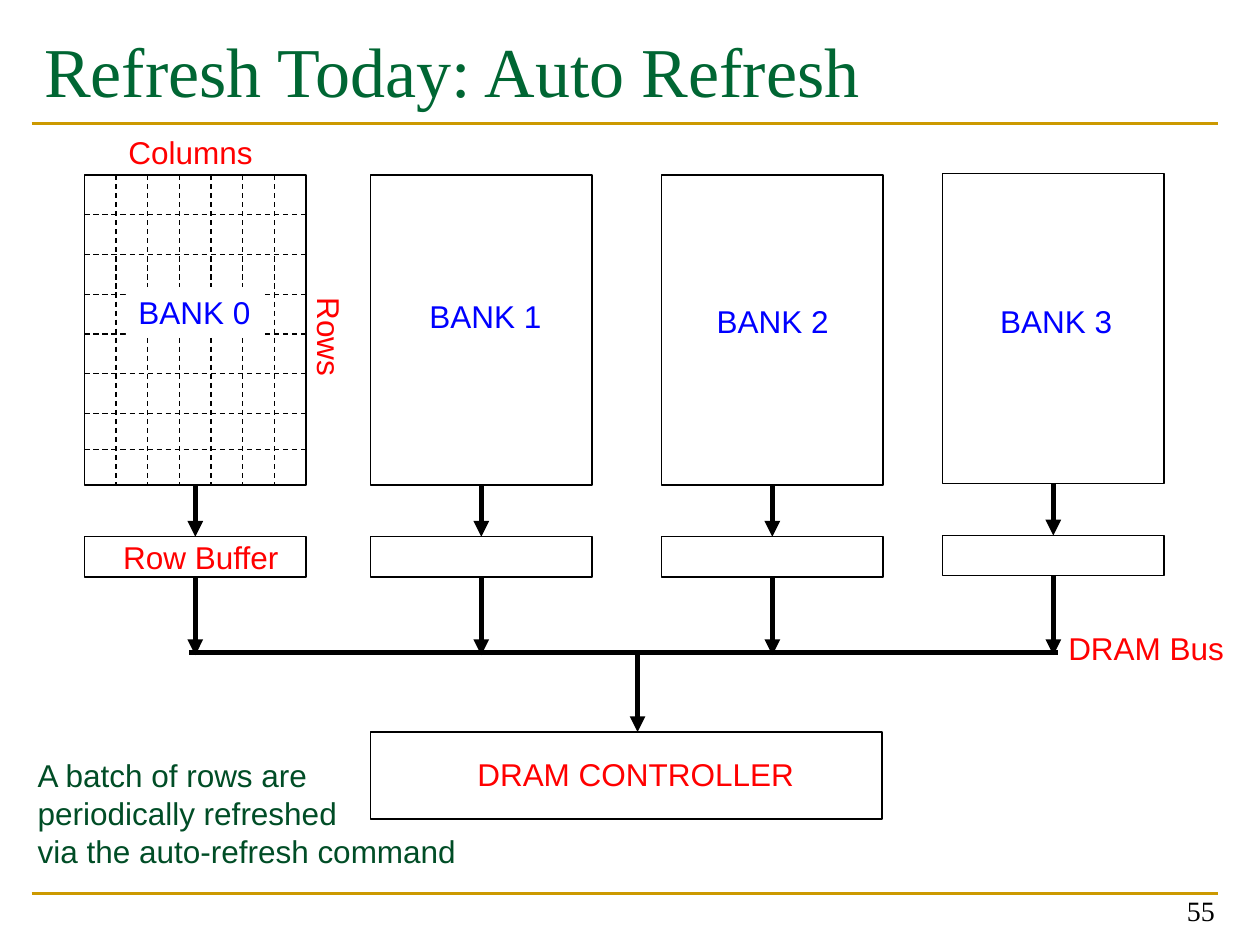
import pptx
import pptx.dml.color
import pptx.enum.dml
import pptx.enum.shapes
import pptx.enum.text
import pptx.oxml.ns
import pptx.util
from lxml import etree

Inches = pptx.util.Inches
ALIGN = pptx.enum.text.PP_ALIGN
ANCHOR = pptx.enum.text.MSO_ANCHOR

# Content
TITLE = "Refresh Today: Auto Refresh"
PAGE_NUMBER = "55"
NOTE = ["A batch of rows are", "periodically refreshed", "via the auto-refresh command"]
BLACK, WHITE, RED, BLUE = "000000", "FFFFFF", "FF0000", "0000FF"
GREEN, DARK_GREEN, GOLD = "006633", "004D26", "CC9900"

# Bank name, left and top of the bank, left and top of its name
BANKS = [
    ("BANK 0", 0.67, 1.39, 1.0, 2.28),
    ("BANK 1", 2.94, 1.39, 3.31, 2.31),
    ("BANK 2", 5.25, 1.39, 5.59, 2.35),
    ("BANK 3", 7.48, 1.38, 7.84, 2.35),
]
# Text, left, top, width, rotation
RED_LABELS = [
    ("Columns", 0.92, 1.01, 1.19, 0),
    ("Rows", 2.2, 2.48, 0.83, 90),
    ("Row Buffer", 0.88, 4.22, 1.44, 0),
    ("DRAM CONTROLLER", 3.69, 5.94, 2.74, 0),
    ("DRAM Bus", 8.38, 4.94, 1.45, 0),
]
BANK_WIDTH, BANK_HEIGHT = 1.76, 2.46
BUFFER_DROP, BUFFER_HEIGHT = 2.87, 0.32
GRID_COLUMNS, ROW_STEP = 7, 0.315
LABEL_HEIGHT = 0.4
BUS_Y, BUS_LEFT, BUS_RIGHT = 5.18, 1.5, 8.4
CONTROLLER = (2.94, 5.81, 4.06, 0.69)
CONTROLLER_ARROW_X = 5.06

presentation = pptx.Presentation()
presentation.slide_width, presentation.slide_height = Inches(10), Inches(7.5)
slide = presentation.slides.add_slide(presentation.slide_layouts[5])


def color(hex_text):
    return pptx.dml.color.RGBColor.from_string(hex_text)


def write(shape, text, size=18, font="Arial", fill=BLACK, align=ALIGN.LEFT,
          anchor=ANCHOR.TOP, wrap=False):
    """Put one string, or one paragraph per list item, into a shape."""
    frame = shape.text_frame
    frame.word_wrap = wrap
    frame.auto_size = pptx.enum.text.MSO_AUTO_SIZE.NONE
    frame.vertical_anchor = anchor
    lines = [text] if isinstance(text, str) else text
    for index, line in enumerate(lines):
        paragraph = frame.paragraphs[0] if index == 0 else frame.add_paragraph()
        paragraph.alignment = align
        run = paragraph.add_run()
        run.text = line
        run.font.size = pptx.util.Pt(size)
        run.font.name = font
        run.font.color.rgb = color(fill)


def add_label(text, left, top, width, height=LABEL_HEIGHT, rotation=0, **text_format):
    box = slide.shapes.add_textbox(*map(Inches, (left, top, width, height)))
    box.rotation = rotation
    write(box, text, **text_format)
    return box


def add_box(left, top, width, height):
    box = slide.shapes.add_shape(pptx.enum.shapes.MSO_SHAPE.RECTANGLE,
                                 *map(Inches, (left, top, width, height)))
    box.shadow.inherit = False
    box.fill.background()
    box.line.color.rgb = color(BLACK)
    box.line.width = pptx.util.Pt(0.75)
    return box


def add_line(x1, y1, x2, y2, stroke=BLACK, width=3, dashed=False, arrow=False):
    line = slide.shapes.add_connector(pptx.enum.shapes.MSO_CONNECTOR.STRAIGHT,
                                      *map(Inches, (x1, y1, x2, y2)))
    line.line.color.rgb = color(stroke)
    line.line.width = pptx.util.Pt(width)
    if dashed:
        line.line.dash_style = pptx.enum.dml.MSO_LINE.DASH
    if arrow:
        tail = etree.SubElement(line.line._get_or_add_ln(), pptx.oxml.ns.qn("a:tailEnd"))
        tail.set("type", "triangle")
    etree.SubElement(line._element.spPr, pptx.oxml.ns.qn("a:effectLst"))
    return line


# Title, rules and page number
for rule_y in (7.09, 0.98):
    add_line(0.25, rule_y, 9.67, rule_y, stroke=GOLD, width=1.5)
title = slide.shapes.title
title.left, title.top, title.width, title.height = map(Inches, (0.25, 0.17, 9.42, 1.17))
write(title, TITLE, size=40, font="Times New Roman", fill=GREEN, wrap=True)
add_label(PAGE_NUMBER, 7.41, 6.91, 2.33, 0.5, size=16, font="Times New Roman",
          align=ALIGN.RIGHT, anchor=ANCHOR.BOTTOM, wrap=True)

# Banks, their row buffers and the arrows down to the bus
for name, left, top, name_left, name_top in BANKS:
    center = left + BANK_WIDTH / 2
    bank_bottom, buffer_top = top + BANK_HEIGHT, top + BUFFER_DROP
    buffer_bottom = buffer_top + BUFFER_HEIGHT
    bank = add_box(left, top, BANK_WIDTH, BANK_HEIGHT)
    row_buffer = add_box(left, buffer_top, BANK_WIDTH, BUFFER_HEIGHT)
    to_buffer = add_line(center, bank_bottom, center, buffer_top, arrow=True)
    to_buffer.begin_connect(bank, 2)
    to_buffer.end_connect(row_buffer, 0)
    to_bus = add_line(center, buffer_bottom, center, BUS_Y + 0.02, arrow=True)
    to_bus.begin_connect(row_buffer, 2)

# Cell grid of the first bank
_, grid_left, grid_top, _, _ = BANKS[0]
grid_right, grid_bottom = grid_left + BANK_WIDTH, grid_top + BANK_HEIGHT
for row in range(1, 8):
    y = min(grid_top + row * ROW_STEP, 3.57)
    add_line(grid_left, y, grid_right, y, width=0.75, dashed=True)
for column in range(1, GRID_COLUMNS):
    x = grid_left + column * BANK_WIDTH / GRID_COLUMNS
    add_line(x, grid_top, x, grid_bottom, width=0.75, dashed=True)

# Bus and controller
add_line(BUS_LEFT, BUS_Y, BUS_RIGHT, BUS_Y)
add_line(CONTROLLER_ARROW_X, BUS_Y, CONTROLLER_ARROW_X, CONTROLLER[1], arrow=True)
add_box(*CONTROLLER)

# Labels
for text, left, top, width, rotation in RED_LABELS:
    add_label(text, left, top, width, rotation=rotation, fill=RED)
for name, _, _, name_left, name_top in BANKS:
    label = add_label(name, name_left, name_top, 1.1, fill=BLUE)
    label.fill.solid()
    label.fill.fore_color.rgb = color(WHITE)
add_label(NOTE, 0.2, 5.95, 3.7, 1.01, fill=DARK_GREEN, wrap=True)

presentation.save("out.pptx")
